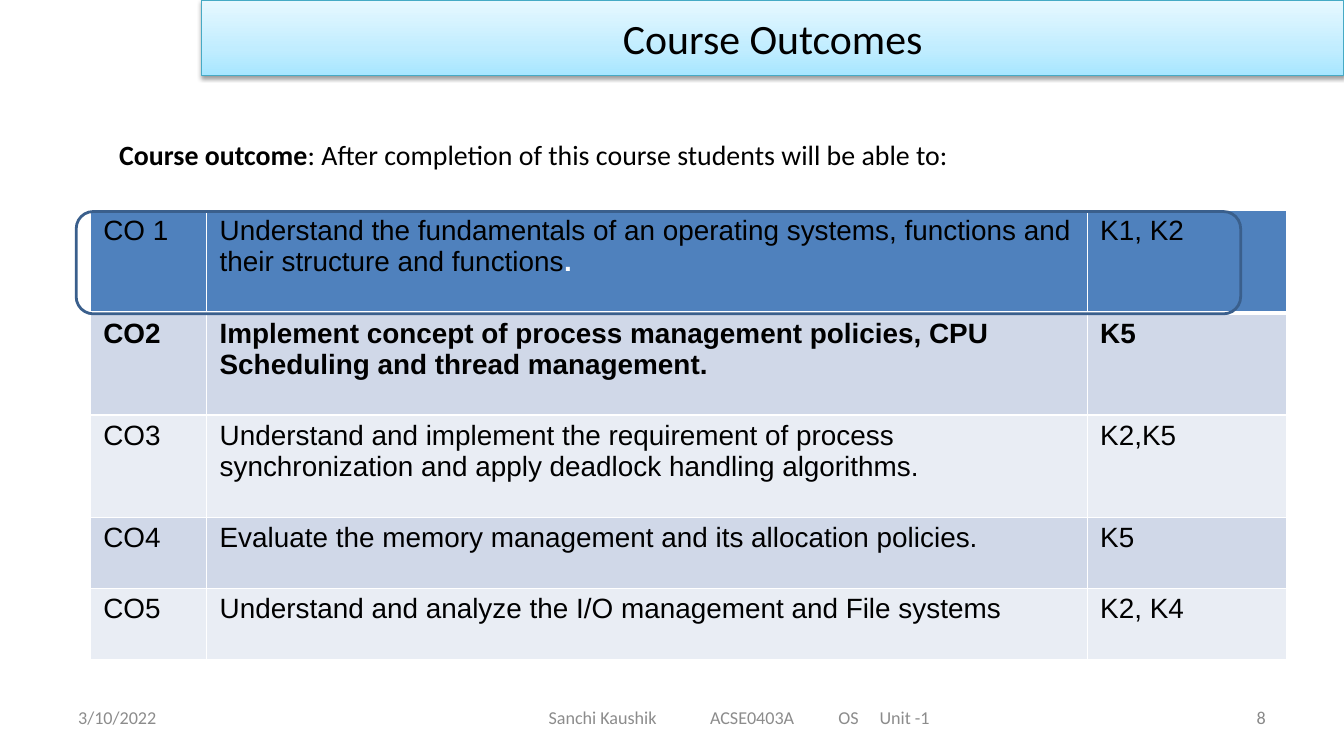
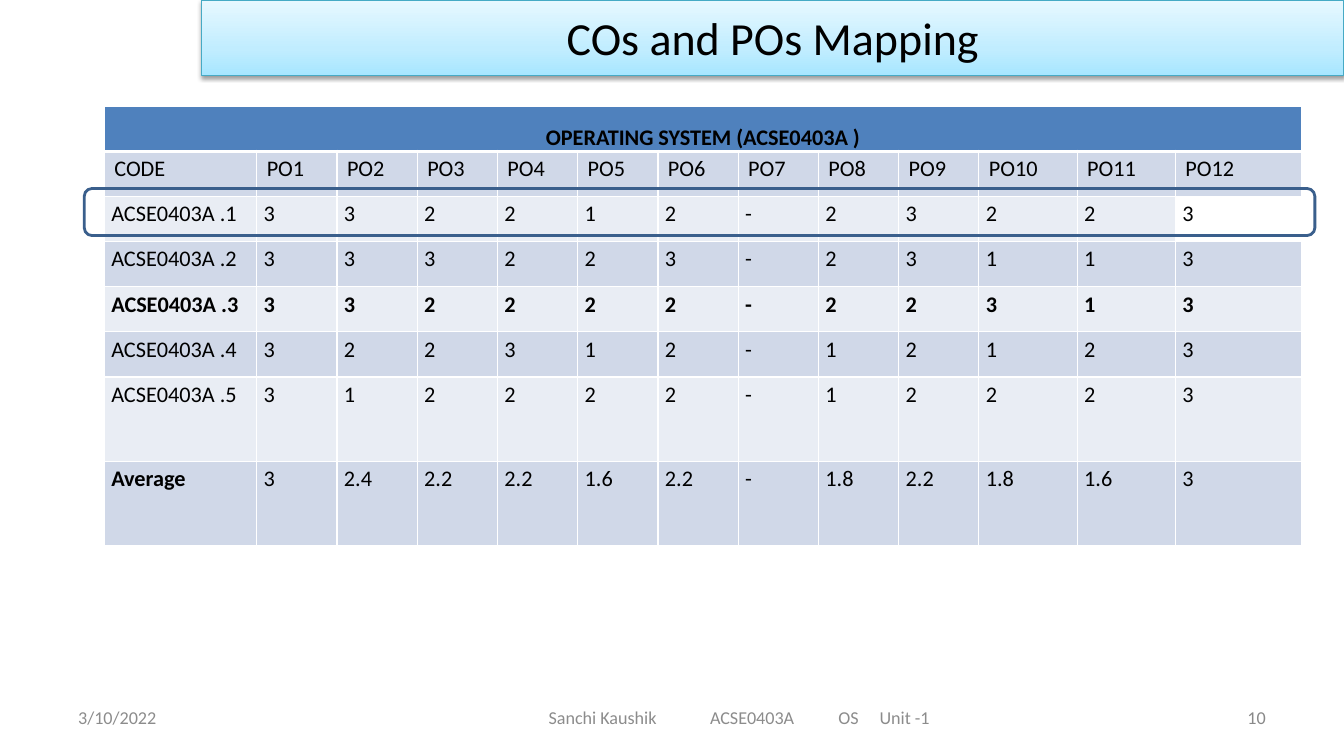
from dataclasses import dataclass

from pptx import Presentation
from pptx.dml.color import RGBColor
from pptx.enum.shapes import MSO_SHAPE
from pptx.enum.text import MSO_ANCHOR, MSO_AUTO_SIZE, PP_ALIGN
from pptx.oxml import parse_xml
from pptx.oxml.ns import nsdecls
from pptx.util import Inches, Pt

DATE = "3/10/2022"
FOOTER = "\t".join(["Sanchi Kaushik", "ACSE0403A", "OS", "Unit -1"])
FOOTER_TABS = [1.61, 2.89, 3.3]

INTRO = [
    ("Course outcome", {"bold": True}),
    (": After completion of this course students will be able to:", {}),
]
OUTCOMES = [
    ["CO 1",
     [("Understand the fundamentals of an operating systems, functions and "
       "their structure and functions", {}),
      (".", {"bold": True, "color": "FFFFFF"})],
     "K1, K2"],
    ["CO2",
     "Implement concept of process management policies, CPU Scheduling and "
     "thread management.",
     "K5"],
    ["CO3",
     "Understand and implement the requirement of process synchronization "
     "and apply deadlock handling algorithms.",
     "K2,K5"],
    ["CO4", "Evaluate the memory management and its allocation policies.", "K5"],
    ["CO5", "Understand and analyze the I/O management and File systems", "K2, K4"],
]
OUTCOME_BOLD = {(1, column) for column in range(3)}

MAPPING_TITLE = "OPERATING SYSTEM (ACSE0403A )"
SCORES = [
    ("ACSE0403A .1", "3 3 2 2 1 2 - 2 3 2 2 3"),
    ("ACSE0403A .2", "3 3 3 2 2 3 - 2 3 1 1 3"),
    ("ACSE0403A .3", "3 3 2 2 2 2 - 2 2 3 1 3"),
    ("ACSE0403A .4", "3 2 2 3 1 2 - 1 2 1 2 3"),
    ("ACSE0403A .5", "3 1 2 2 2 2 - 1 2 2 2 3"),
    ("Average", "3 2.4 2.2 2.2 1.6 2.2 - 1.8 2.2 1.8 1.6 3"),
]
MAPPING = [
    [MAPPING_TITLE] + [""] * 12,
    ["CODE"] + [f"PO{number}" for number in range(1, 13)],
] + [[code] + scores.split() for code, scores in SCORES]
MAPPING_BOLD = {(0, 0), (7, 0)} | {(4, column) for column in range(13)}


@dataclass(frozen=True)
class Theme:
    font: str = "Calibri"
    table_font: str = "Arial"
    text: str = "000000"
    muted: str = "8C8C8C"
    page_number: str = "898989"
    white: str = "FFFFFF"
    header: str = "4F81BD"
    bands: tuple = ("E9EDF4", "D0D8E8")
    outline: str = "3A5F8C"
    title_line: str = "46AAC5"
    title_stops: tuple = ((0, "A7E6FF"), (35, "C1EDFF"), (100, "E7F8FF"))
    body_size: int = 20
    mapping_size: int = 16
    footer_size: int = 13


THEME = Theme()


def write(frame, content, size, font=THEME.font, color=THEME.text, bold=False,
          align=PP_ALIGN.LEFT):
    pieces = [(content, {})] if isinstance(content, str) else content
    paragraph = frame.paragraphs[0]
    paragraph.alignment = align
    paragraph.text = pieces[0][0]
    for text, _ in pieces[1:]:
        paragraph.add_run().text = text
    for run, (_, style) in zip(paragraph.runs, pieces):
        run.font.name = font
        run.font.size = Pt(size)
        run.font.bold = style.get("bold", bold)
        run.font.color.rgb = RGBColor.from_string(style.get("color", color))
    return paragraph


def set_margins(target, horizontal, vertical):
    target.margin_left = target.margin_right = Inches(horizontal)
    target.margin_top = target.margin_bottom = Inches(vertical)


def add_text(slide, box, content, size, margin=0.1, anchor=MSO_ANCHOR.TOP, **style):
    frame = slide.shapes.add_textbox(*map(Inches, box)).text_frame
    frame.word_wrap = True
    frame.vertical_anchor = anchor
    set_margins(frame, margin, 0.05)
    return write(frame, content, size, **style)


def style_title(slide, text, size):
    title = slide.shapes.title
    title.left, title.top, title.width, title.height = map(
        Inches, (2.01, 0, 11.39, 0.75))
    stops = "".join(
        f'<a:gs pos="{position * 1000}"><a:srgbClr val="{color}"/></a:gs>'
        for position, color in THEME.title_stops)
    properties = title.element.spPr
    properties.append(parse_xml(
        f'<a:gradFill {nsdecls("a")} rotWithShape="1"><a:gsLst>{stops}</a:gsLst>'
        '<a:lin ang="16200000" scaled="0"/></a:gradFill>'))
    title.line.color.rgb = RGBColor.from_string(THEME.title_line)
    title.line.width = Pt(0.75)
    properties.append(parse_xml(
        f'<a:effectLst {nsdecls("a")}><a:outerShdw blurRad="{Pt(3.1)}" '
        f'dist="{Pt(1.6)}" dir="5400000" rotWithShape="0">'
        '<a:srgbClr val="000000"><a:alpha val="38000"/></a:srgbClr>'
        '</a:outerShdw></a:effectLst>'))
    frame = title.text_frame
    frame.auto_size = MSO_AUTO_SIZE.NONE
    frame.vertical_anchor = MSO_ANCHOR.MIDDLE
    write(frame, text, size, align=PP_ALIGN.CENTER)


def add_footer(slide, number):
    style = {"size": THEME.footer_size, "margin": 0.11, "anchor": MSO_ANCHOR.MIDDLE}
    add_text(slide, (0.67, 6.95, 3.13, 0.4), DATE, color=THEME.muted, **style)
    course = add_text(slide, (5.36, 6.95, 4.2, 0.4), FOOTER, color=THEME.muted, **style)
    tabs = "".join(f'<a:tab pos="{Inches(stop)}" algn="l"/>' for stop in FOOTER_TABS)
    course._p.get_or_add_pPr().append(
        parse_xml(f'<a:tabLst {nsdecls("a")}>{tabs}</a:tabLst>'))
    add_text(slide, (9.6, 6.95, 3.13, 0.4), number, color=THEME.page_number,
             align=PP_ALIGN.RIGHT, **style)


def add_slide(presentation, title, size, number):
    slide = presentation.slides.add_slide(presentation.slide_layouts[5])
    style_title(slide, title, size)
    add_footer(slide, number)
    return slide


def set_borders(cell, row):
    widths = {"L": 1, "R": 1, "T": 3 if row == 1 else 1, "B": 3 if row == 0 else 1}
    properties = cell._tc.get_or_add_tcPr()
    for side, width in widths.items():
        properties.append(parse_xml(
            f'<a:ln{side} {nsdecls("a")} w="{Pt(width)}"><a:solidFill>'
            f'<a:srgbClr val="{THEME.white}"/></a:solidFill></a:ln{side}>'))


def add_grid(slide, position, rows, widths, heights, bold, margins, size, font):
    table = slide.shapes.add_table(
        len(rows), len(widths), *map(Inches, position),
        Inches(sum(widths)), Inches(sum(heights))).table
    table.horz_banding = False
    for column, width in zip(table.columns, widths):
        column.width = Inches(width)
    for row, height in zip(table.rows, heights):
        row.height = Inches(height)
    for r, contents in enumerate(rows):
        for c, content in enumerate(contents):
            cell = table.cell(r, c)
            set_margins(cell, *margins)
            set_borders(cell, r)
            cell.fill.solid()
            cell.fill.fore_color.rgb = RGBColor.from_string(
                THEME.bands[r % 2] if r else THEME.header)
            write(cell.text_frame, content, size, font, bold=(r, c) in bold)
    return table


def add_highlight(slide, box):
    shape = slide.shapes.add_shape(MSO_SHAPE.ROUNDED_RECTANGLE, *map(Inches, box))
    shape.shadow.inherit = False
    shape.fill.background()
    shape.line.color.rgb = RGBColor.from_string(THEME.outline)
    shape.line.width = Pt(2)


def build_outcomes(presentation):
    slide = add_slide(presentation, "Course Outcomes", 30, "8")
    add_grid(slide, (0.9, 2.1), OUTCOMES, [1.16, 8.78, 1.99],
             [1.02] * 3 + [0.71] * 2, OUTCOME_BOLD, (0.13, 0.05),
             THEME.body_size, THEME.table_font)
    add_text(slide, (1.09, 1.32, 11.73, 0.44), INTRO, THEME.body_size)
    add_highlight(slide, (0.76, 2.11, 11.61, 1.02))


def build_mapping(presentation):
    slide = add_slide(presentation, "COs and POs Mapping", 33, "10")
    table = add_grid(slide, (1.04, 1.06), MAPPING,
                     [1.52] + [0.8] * 9 + [0.98] * 2 + [1.26],
                     [0.45] * 6 + [0.84] * 2, MAPPING_BOLD, (0.07, 0),
                     THEME.mapping_size, THEME.font)
    for cell in table.iter_cells():
        paragraph = cell.text_frame.paragraphs[0]
        paragraph.line_spacing = 1.15
        paragraph.space_after = Pt(10)
    for column in range(len(table.columns)):
        set_margins(table.cell(1, column), 0.1, 0)
    heading = table.cell(0, 0)
    heading.merge(table.cell(0, 12))
    heading.vertical_anchor = MSO_ANCHOR.BOTTOM
    set_margins(heading, 0.1, 0)
    heading_paragraph = heading.text_frame.paragraphs[0]
    heading_paragraph.alignment = PP_ALIGN.CENTER
    heading_paragraph.space_after = Pt(0)
    table.cell(2, 12).fill.fore_color.rgb = RGBColor.from_string(THEME.white)
    add_highlight(slide, (0.84, 1.88, 12.27, 0.47))


def main():
    presentation = Presentation()
    presentation.slide_width = Inches(13.4)
    presentation.slide_height = Inches(7.5)
    build_outcomes(presentation)
    build_mapping(presentation)
    presentation.save("out.pptx")


if __name__ == "__main__":
    main()
